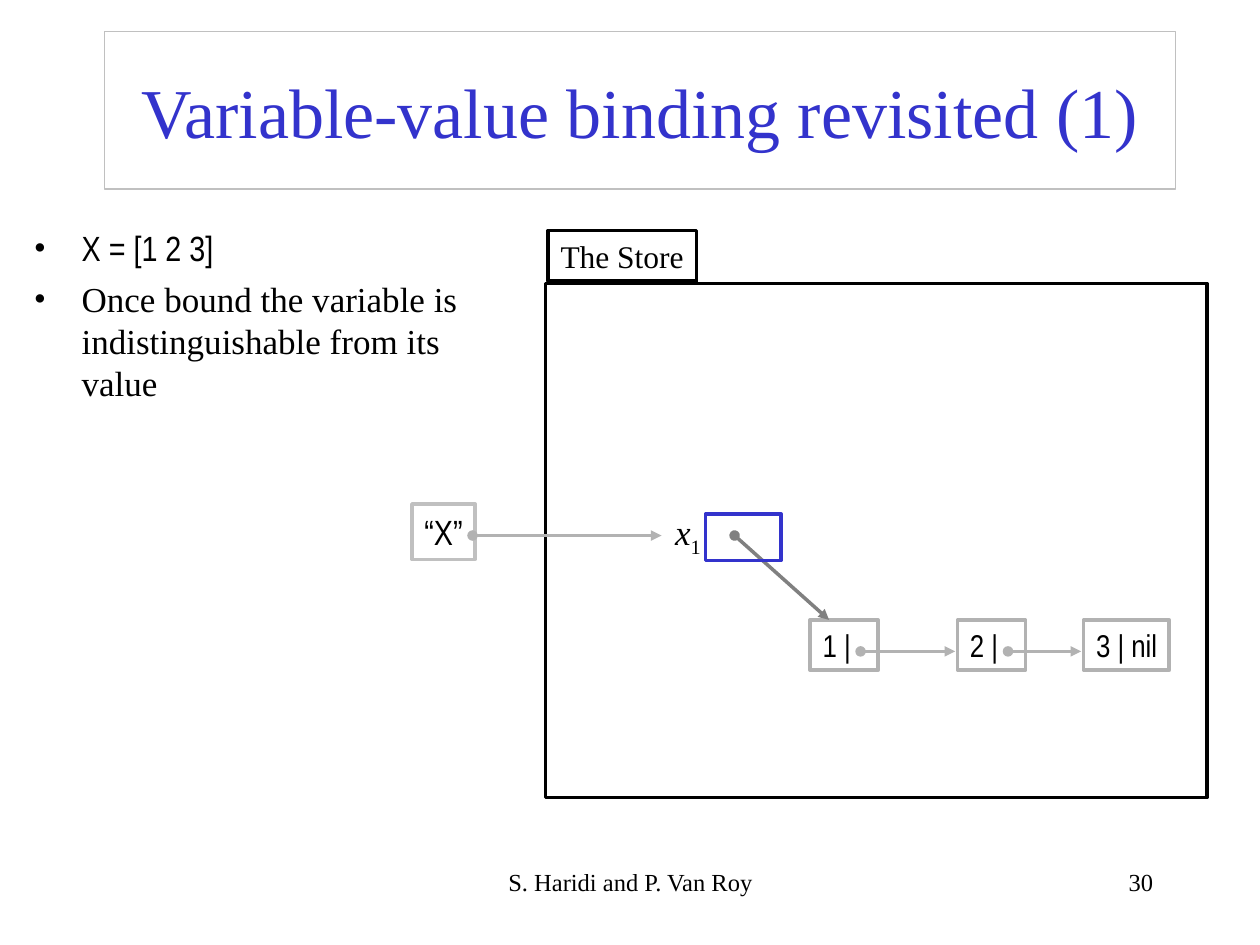
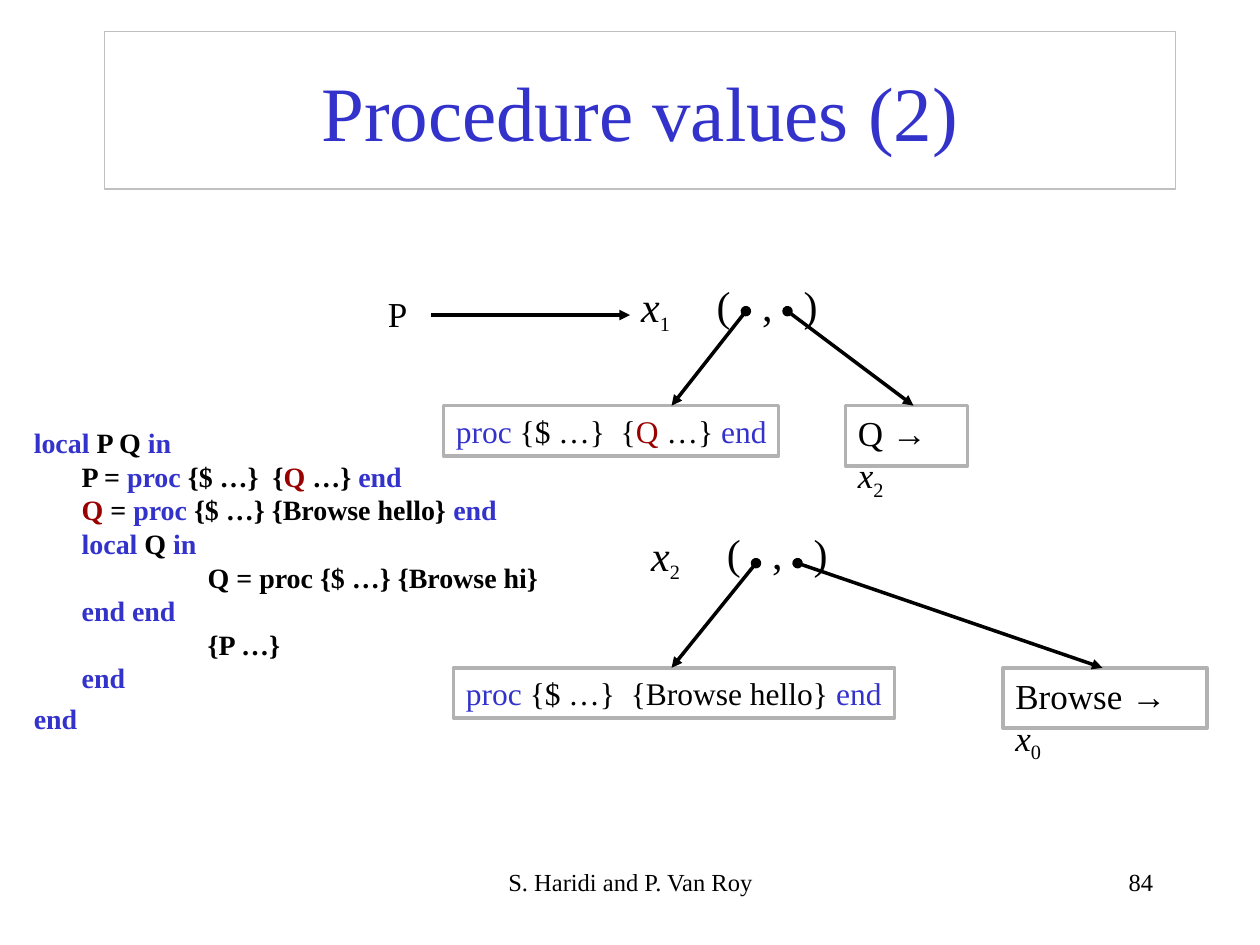
from lxml.etree import SubElement as Sub
from pptx import Presentation
from pptx.dml.color import RGBColor as RGB
from pptx.enum.shapes import MSO_CONNECTOR as Link, MSO_SHAPE as Form
from pptx.enum.text import MSO_ANCHOR as Anchor, MSO_AUTO_SIZE as Auto, PP_ALIGN as Align
from pptx.oxml.ns import qn
from pptx.util import Inches, Pt

BLACK = RGB(0x00, 0x00, 0x00)
BLUE = RGB(0x33, 0x33, 0xCC)
RED = RGB(0x99, 0x00, 0x00)
PALE = RGB(0xC0, 0xC0, 0xC0)
GREY = RGB(0xB2, 0xB2, 0xB2)
DARK = RGB(0x80, 0x80, 0x80)
SERIF, NARROW, SANS = "Times New Roman", "Arial Narrow", "Arial"

KEY = {"color": BLUE}
MARK = {"color": RED}
VAR = {"italic": True}
LOW = {"low": True}
ARROW = ("→ ", {"name": SANS})
PROC, END = ("proc", KEY), ("end", KEY)
HANG = {"left": 0.38, "first": -0.38}
NEST = {"left": 0.38, "first": 1}

OUTER = [
    ("local", KEY), " P Q ", ("in\n", KEY),
    "P = ", PROC, " {$ …}  {", ("Q", MARK), " …} ", ("end\n", KEY),
    ("Q", MARK), " = ", PROC, " {$ …} {Browse hello} ", ("end\nlocal", KEY),
    " Q ", ("in", KEY),
]
INNER = ["Q = proc {$ …} {Browse hi} ", ("end end", KEY)]
CALL = ["{P …}\n", END]


class Deck:
    def __init__(self):
        self.show = Presentation()
        self.show.slide_width, self.show.slide_height = Inches(10), Inches(7.5)
        self.slide = None

    def page(self, title, size, number):
        self.slide = self.show.slides.add_slide(self.show.slide_layouts[5])
        head = self.slide.shapes.title
        head.left, head.top = Inches(0.83), Inches(0.25)
        head.width, head.height = Inches(8.5), Inches(1.25)
        head.line.color.rgb, head.line.width = PALE, Pt(0.75)
        frame = head.text_frame
        frame.vertical_anchor = Anchor.MIDDLE
        self.fill(frame.paragraphs[0], [title], size, color=BLUE, align=Align.CENTER)
        self.text(3.42, 6.83, 3.17, 0.5, ["S. Haridi and P. Van Roy"], 14, align=Align.CENTER)
        self.text(7.17, 6.83, 2.08, 0.5, [number], 14, align=Align.RIGHT)

    def style(self, font, name=None, color=None, italic=None):
        if name:
            font.name = name
        if color is not None:
            font.color.rgb = color
        if italic:
            font.italic = True

    def fill(self, para, parts, size, name=SERIF, color=BLACK, bold=False,
             align=Align.LEFT, left=0, first=0, bullet=None, tabs=(), gap=0):
        props = para._p.get_or_add_pPr()
        if left:
            props.set("marL", str(Inches(left)))
            props.set("indent", str(Inches(first)))
        if bullet:
            Sub(props, qn("a:buFont"), typeface=SERIF)
            Sub(props, qn("a:buChar"), char=bullet)
        if tabs:
            stops = Sub(props, qn("a:tabLst"))
            for stop in tabs:
                Sub(stops, qn("a:tab"), pos=str(Inches(stop)), algn="l")
        para.alignment = align
        if gap:
            para.space_before = Pt(gap)
        para.font.size, para.font.bold = Pt(size), bold
        self.style(para.font, name, color)
        for part in parts:
            words, look = (part, {}) if isinstance(part, str) else part
            self.runs(para, words, **look)

    def runs(self, para, words, low=False, size=None, **look):
        for index, line in enumerate(words.split("\n")):
            if index:
                para.add_line_break()
            if not line:
                continue
            run = para.add_run()
            run.text = line
            self.style(run.font, **look)
            if size:
                run.font.size = Pt(size)
            if low:
                run._r.get_or_add_rPr().set("baseline", "-25000")

    def text(self, x, y, w, h, parts, size, **look):
        area = self.slide.shapes.add_textbox(*map(Inches, (x, y, w, h)))
        area.text_frame.word_wrap = True
        self.fill(area.text_frame.paragraphs[0], parts, size, **look)
        return area.text_frame

    def more(self, frame, parts, size, **look):
        self.fill(frame.add_paragraph(), parts, size, **look)

    def box(self, x, y, w, h, color, parts=(), size=18, wrap=False, **look):
        rect = self.slide.shapes.add_shape(Form.RECTANGLE, *map(Inches, (x, y, w, h)))
        rect.shadow.inherit = False
        rect.fill.background()
        rect.line.color.rgb, rect.line.width = color, Pt(2)
        if parts:
            frame = rect.text_frame
            frame.word_wrap, frame.auto_size = wrap, Auto.NONE
            frame.vertical_anchor = Anchor.TOP
            if wrap:
                frame.margin_right = Inches(0.2)
            self.fill(frame.paragraphs[0], parts, size, **look)

    def arrow(self, x1, y1, x2, y2, color=BLACK, dot=True):
        line = self.slide.shapes.add_connector(
            Link.STRAIGHT, *map(Inches, (x1, y1, x2, y2)))
        line.line.color.rgb, line.line.width = color, Pt(2)
        ends = line.line._get_or_add_ln()
        if dot:
            Sub(ends, qn("a:headEnd"), type="oval")
        Sub(ends, qn("a:tailEnd"), type="triangle")
        Sub(line._element.spPr, qn("a:effectLst"))

    def pair(self, x, y, sub):
        self.text(x, y, 0.5, 0.54, [("x", VAR), (sub, {"low": True, "size": 20})], 24)
        self.text(x + 0.6, y - 0.01, 1, 0.5, ["(\t,\t)"], 24, tabs=(0.36, 0.69))

    def closure(self, x, y, w, body, place, width, name, sub):
        self.box(x, y, w, 0.4, GREY, [PROC, *body, END])
        self.box(place, y, width, 0.48, GREY, [name, ARROW, ("x", VAR), (sub, LOW)], 20, wrap=True)


def binding(deck):
    deck.page("Variable-value binding revisited (1)", 40, "30")
    deck.box(4.33, 2.25, 5.25, 4.08, BLACK)
    deck.box(4.35, 1.83, 1.18, 0.4, BLACK, ["The Store"])
    deck.box(3.27, 4, 0.5, 0.44, PALE, ["“X”"], 20, name=NARROW)
    deck.arrow(3.75, 4.25, 5.25, 4.25, GREY)
    deck.text(5.26, 4, 0.5, 0.48, [("x", VAR), ("1", LOW)], 20)
    notes = deck.text(0.17, 1.75, 3.83, 1.83, ["X = [1 2 3]"], 20, name=NARROW, bullet="•", **HANG)
    deck.more(notes, ["Once bound the variable is indistinguishable from its value"], 20,
              gap=5, bullet="•", **HANG)
    for x, w, cell in ((6.43, 0.54, "1 |"), (7.6, 0.54, "2 |"), (8.6, 0.68, "3 | nil")):
        deck.box(x, 4.92, w, 0.4, GREY, [cell], name=NARROW)
    for tail, tip in ((6.83, 7.58), (8, 8.58)):
        deck.arrow(tail, 5.17, tip, 5.17, GREY)
    deck.arrow(5.83, 4.25, 6.58, 4.92, DARK)
    deck.box(5.6, 4.08, 0.6, 0.37, BLUE)


def values(deck):
    deck.page("Procedure values (2)", 44, "84")
    code = deck.text(0.17, 3.33, 4.42, 2.67, OUTER, 16, bold=True, **HANG)
    for block in (INNER, CALL):
        deck.more(code, block, 16, bold=True, **NEST)
    deck.more(code, [END], 16, bold=True, gap=4, **HANG)
    deck.pair(4.99, 2.18, "1")
    deck.pair(5.07, 4.15, "2")
    deck.closure(3.52, 3.22, 2.66, [" {$ …}  {", ("Q", MARK), " …} "], 6.71, 0.97, "Q ", "2")
    deck.closure(3.6, 5.3, 3.5, [" {$ …}  {Browse hello} "], 7.96, 1.62, "Browse ", "0")
    for x, y, tip, low in ((5.92, 2.47, 7.25, 3.22), (6, 4.47, 8.75, 5.3)):
        deck.arrow(x, y, 5.33, low)
        deck.arrow(x + 0.33, y, tip, low)
    deck.text(2.98, 2.27, 0.4, 0.44, ["P"], 20)
    deck.arrow(3.42, 2.5, 5, 2.5, dot=False)


def main():
    deck = Deck()
    binding(deck)
    values(deck)
    deck.show.save("out.pptx")


if __name__ == "__main__":
    main()
